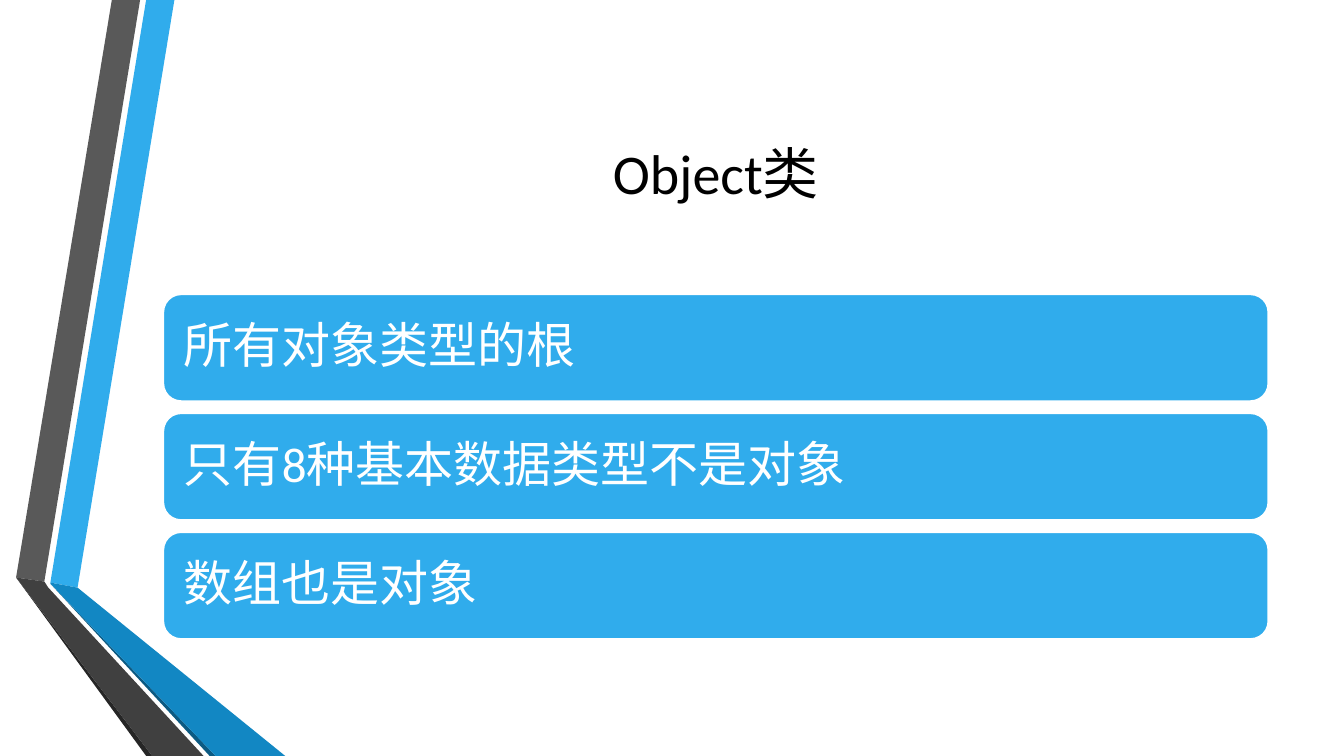
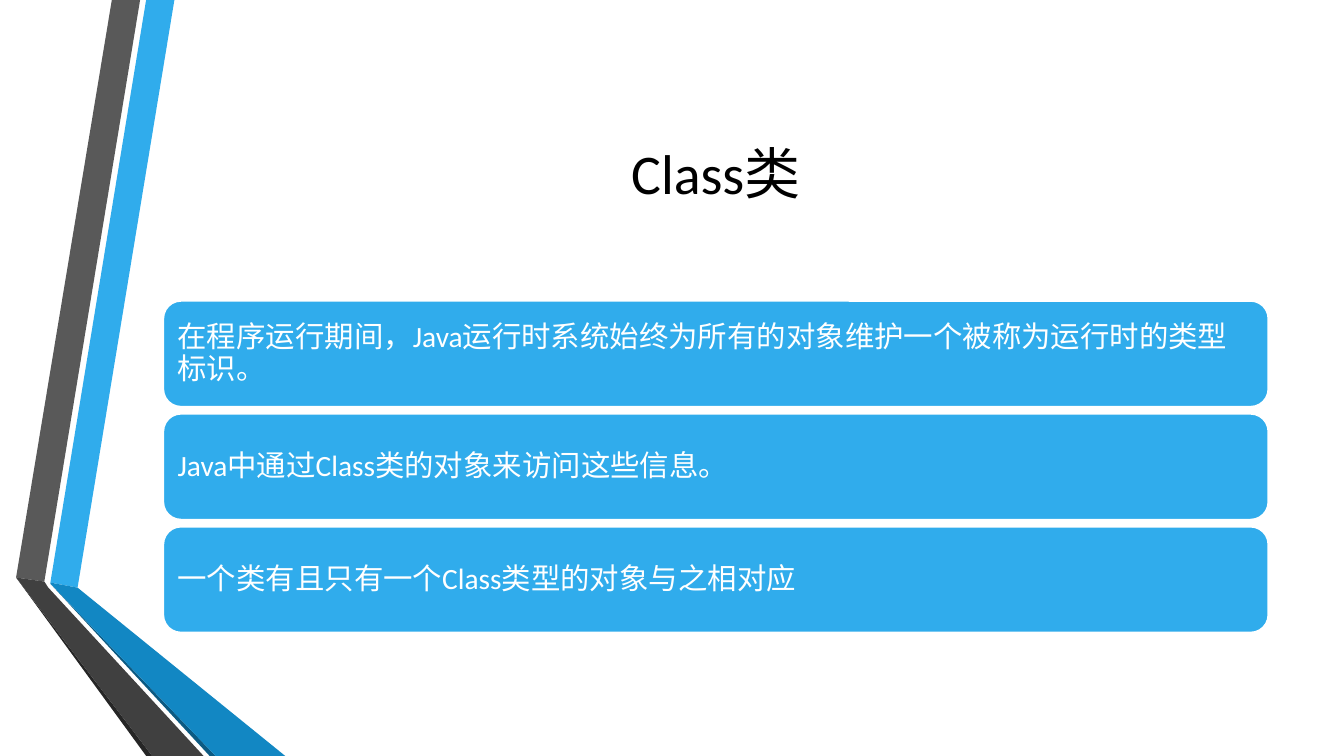
import pptx
import pptx.util
import pptx.dml.color
import pptx.enum.shapes
import pptx.enum.text

Inches, Pt = pptx.util.Inches, pptx.util.Pt
ALIGN, ANCHOR = pptx.enum.text.PP_ALIGN, pptx.enum.text.MSO_ANCHOR

# Content
SLIDES = [
    {
        "title": "Object类",
        "points": ["所有对象类型的根", "只有8种基本数据类型不是对象", "数组也是对象"],
        "size": 35, "height": 1.06, "gap": 0.12, "inset": 0.2,
    },
    {
        "title": "Class类",
        "points": [
            "在程序运行期间，Java运行时系统始终为所有的对象维护一个被称为运行时的类型标识。",
            "Java中通过Class类的对象来访问这些信息。",
            "一个类有且只有一个Class类型的对象与之相对应",
        ],
        "size": 21, "height": 1.05, "gap": 0.07, "inset": 0.14,
    },
]

# Shared style
COLORS = {
    "blue": "30ACEC", "blue_fold": "1287C3", "blue_edge": "0C5A82",
    "gray": "595959", "gray_fold": "404040", "gray_edge": "262626",
    "white": "FFFFFF", "black": "000000",
}
FONT = "Calibri"
LEFT, WIDTH = 1.62, 10.96
TITLE_TOP, TITLE_HEIGHT = 0.75, 1.92
BARS_MIDDLE = 4.63

# Folded ribbons at the left edge: colour and corner points
RIBBONS = [
    ("blue", [(0.5, 5.78), (0.77, 5.83), (1.73, 0), (1.45, 0)]),
    ("gray", [(1.39, 0), (1.11, 0), (0.16, 5.73), (0.44, 5.77)]),
    ("gray_edge", [(0.16, 5.73), (1.45, 7.5), (1.51, 7.5)]),
    ("blue_edge", [(0.5, 5.79), (2.08, 7.5), (2.14, 7.5)]),
    ("blue_fold", [(0.5, 5.79), (2.14, 7.5), (2.83, 7.5), (0.77, 5.83), (0.5, 5.78)]),
    ("gray_fold", [(2.02, 7.5), (0.48, 5.83), (0.44, 5.77), (0.16, 5.73), (1.51, 7.5)]),
]


def rgb(name):
    return pptx.dml.color.RGBColor.from_string(COLORS[name])


def paint(sp, fill):
    sp.shadow.inherit = False
    sp.fill.solid()
    sp.fill.fore_color.rgb = rgb(fill)


def write(sp, text, size, color, align, inset_x, inset_y, spacing=1.0):
    tf = sp.text_frame
    frame = {
        "word_wrap": True, "vertical_anchor": ANCHOR.MIDDLE,
        "margin_left": Inches(inset_x), "margin_right": Inches(inset_x),
        "margin_top": Inches(inset_y), "margin_bottom": Inches(inset_y),
    }
    for key, value in frame.items():
        setattr(tf, key, value)
    p = tf.paragraphs[0]
    p.alignment, p.line_spacing = align, spacing
    r = p.add_run()
    r.text = text
    for key, value in {"name": FONT, "size": Pt(size)}.items():
        setattr(r.font, key, value)
    r.font.color.rgb = rgb(color)


def add_ribbons(s):
    for color, corners in RIBBONS:
        points = [(Inches(x), Inches(y)) for x, y in corners]
        builder = s.shapes.build_freeform(*points[0])
        builder.add_line_segments(points[1:], close=True)
        sp = builder.convert_to_shape()
        paint(sp, color)
        sp.line.fill.background()


def add_title(s, text):
    sp = s.shapes.add_textbox(
        Inches(LEFT), Inches(TITLE_TOP), Inches(WIDTH), Inches(TITLE_HEIGHT))
    write(sp, text, 40, "black", ALIGN.CENTER, 0.1, 0.05)


def add_bars(s, points, size, height, gap, inset):
    # The stack is centred on BARS_MIDDLE
    pitch = height + gap
    top = BARS_MIDDLE - (len(points) * pitch - gap) / 2
    for i, text in enumerate(points):
        sp = s.shapes.add_shape(
            pptx.enum.shapes.MSO_SHAPE.ROUNDED_RECTANGLE,
            Inches(LEFT), Inches(top + i * pitch), Inches(WIDTH), Inches(height))
        paint(sp, "blue")
        sp.line.color.rgb = rgb("white")
        sp.line.width = Pt(1.25)
        # The rounded corners already add about 0.05 inch to every inset
        write(sp, text, size, "white", ALIGN.LEFT, inset - 0.05, inset - 0.05, 0.9)


def main():
    prs = pptx.Presentation()
    prs.slide_width, prs.slide_height = Inches(13.33), Inches(7.5)
    for content in SLIDES:
        s = prs.slides.add_slide(prs.slide_layouts[6])
        add_ribbons(s)
        add_title(s, content["title"])
        add_bars(s, **{k: v for k, v in content.items() if k != "title"})
    prs.save("out.pptx")


if __name__ == "__main__":
    main()
